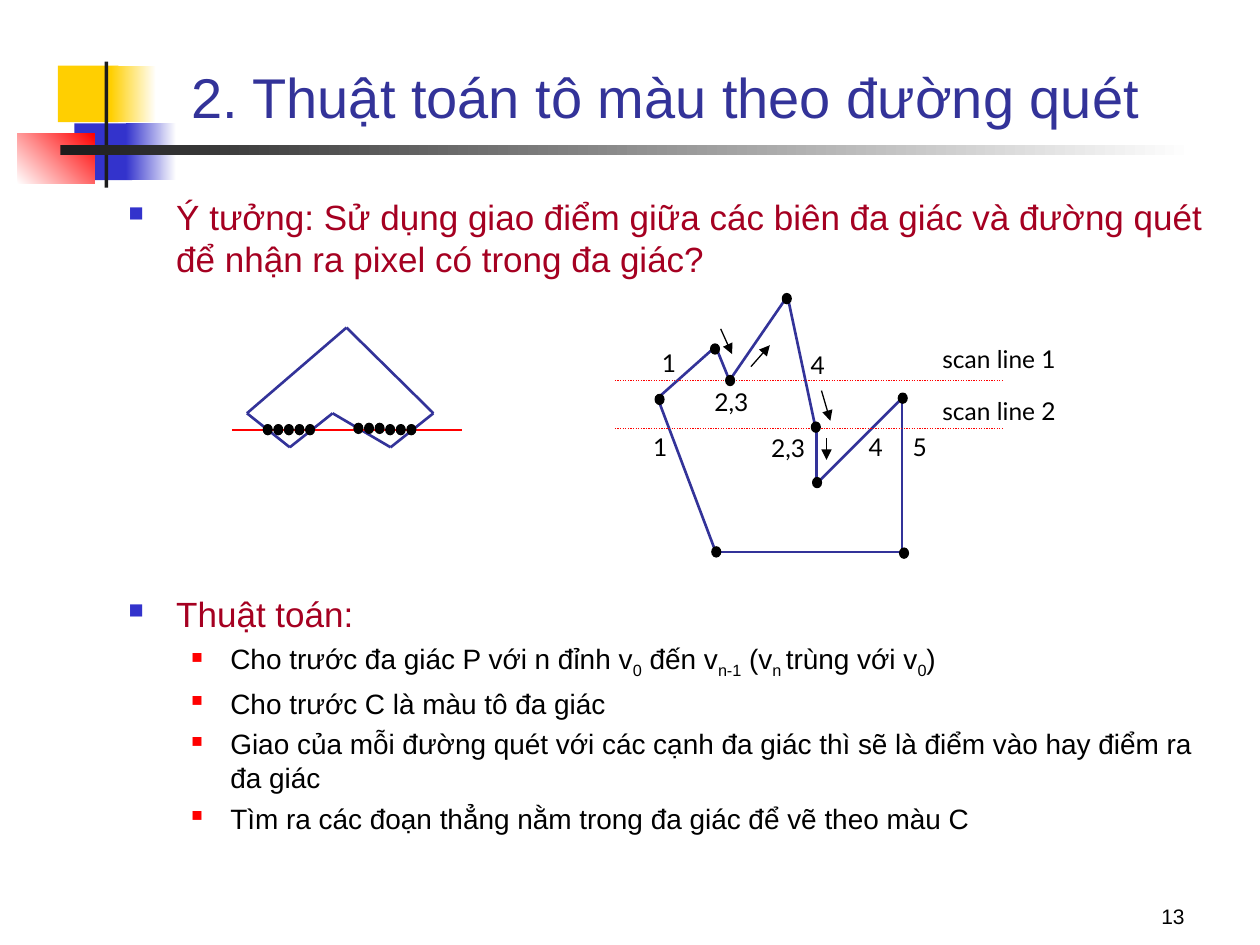
"""Build the slide on scan-line polygon filling."""
from dataclasses import dataclass

from lxml import etree
from pptx import Presentation
from pptx.dml.color import RGBColor
from pptx.enum.dml import MSO_LINE
from pptx.enum.shapes import MSO_CONNECTOR, MSO_SHAPE
from pptx.enum.text import MSO_ANCHOR, PP_ALIGN
from pptx.oxml.ns import qn
from pptx.util import Inches, Pt

RECT, OVAL = MSO_SHAPE.RECTANGLE, MSO_SHAPE.OVAL
STRAIGHT, DOTTED = MSO_CONNECTOR.STRAIGHT, MSO_LINE.ROUND_DOT
TOP, BOTTOM = MSO_ANCHOR.TOP, MSO_ANCHOR.BOTTOM
LEFT, CENTER, RIGHT = PP_ALIGN.LEFT, PP_ALIGN.CENTER, PP_ALIGN.RIGHT


@dataclass(frozen=True)
class Theme:
    sans: str = "Arial"
    label: str = "Lato"
    gold: str = "FFCF01"
    blue: str = "3333CC"
    navy: str = "333399"
    red: str = "FF0000"
    wine: str = "A50021"
    dark: str = "1C1C1C"
    black: str = "000000"
    white: str = "FFFFFF"
    title: int = 32
    head: int = 20
    item: int = 16
    tag: int = 14
    page: int = 12


theme = Theme()
deck = Presentation()
deck.slide_width, deck.slide_height = Inches(10), Inches(7.5)
COL, ROW = deck.slide_width / 1000, deck.slide_height / 750
slide = deck.slides.add_slide(deck.slide_layouts[6])
shapes = slide.shapes


def place(x, y, w, h):
    return int(x * COL), int(y * ROW), int(w * COL), int(h * ROW)


def write(spot, lines, size, color, font=theme.sans, align=LEFT, anchor=TOP, wrap=True):
    frame = shapes.add_textbox(*place(*spot)).text_frame
    frame.word_wrap = wrap
    frame.vertical_anchor = anchor
    frame.text = "\n".join(lines)
    for para in frame.paragraphs:
        para.alignment = align
        for run in para.runs:
            run.font.name, run.font.size = font, Pt(size)
            run.font.color.rgb = RGBColor.from_string(color)
    return frame


blocks = [
    ((46, 52, 48, 45), theme.gold, None, 0),
    ((88, 52, 36, 45), theme.gold, theme.white, 0),
    ((59, 98, 46, 45), theme.blue, None, 0),
    ((100, 98, 40, 45), theme.blue, theme.white, 0),
    ((14, 106, 61, 40), theme.white, theme.red, 45),
    ((83, 49, 3, 100), theme.dark, None, 0),
    ((48, 115, 900, 8), theme.dark, theme.white, 0),
]
for spot, start, end, angle in blocks:
    block = shapes.add_shape(RECT, *place(*spot))
    block.shadow.inherit = False
    block.line.fill.background()
    if end:
        block.fill.gradient()
        block.fill.gradient_angle = angle
        for stop, color in zip(block.fill.gradient_stops, (start, end)):
            stop.color.rgb = RGBColor.from_string(color)
    else:
        block.fill.solid()
        block.fill.fore_color.rgb = RGBColor.from_string(start)

write((142, 25, 836, 83), ["2. Thuật toán tô màu theo đường quét"],
      theme.title, theme.navy, anchor=BOTTOM)
idea = write((92, 150, 888, 80), [
    "Ý tưởng: Sử dụng giao điểm giữa các biên đa giác và đường quét "
    "để nhận ra pixel có trong đa giác?"], theme.head, theme.wine)
steps = write((92, 465, 888, 218), [
    "Thuật toán:",
    "Cho trước đa giác P với n đỉnh v",
    "Cho trước C là màu tô đa giác",
    "Giao của mỗi đường quét với các cạnh đa giác thì sẽ là điểm vào hay điểm ra đa giác",
    "Tìm ra các đoạn thẳng nằm trong đa giác để vẽ theo màu C",
], theme.head, theme.wine)

first = steps.paragraphs[1]
tail = ["0", " đến v", "n-1", " (v", "n ", "trùng với v", "0", ")"]
for i, part in enumerate(tail):
    run = first.add_run()
    run.text = part
    run.font.name = theme.sans
    if i % 2 == 0:
        run.font._element.set("baseline", "-25000")

for para in steps.paragraphs[1:]:
    para.space_before = Pt(4)
    for run in para.runs:
        run.font.size = Pt(theme.item)
        run.font.color.rgb = RGBColor.from_string(theme.black)

heads = [idea.paragraphs[0], steps.paragraphs[0]]
for para in heads + list(steps.paragraphs[1:]):
    head = para in heads
    margin, hang, color, size = (38, 38, theme.blue, 60) if head else (81, 31, theme.red, 55)
    props = para._p.get_or_add_pPr()
    props.set("marL", str(int(margin * COL)))
    props.set("indent", str(int(-hang * COL)))
    tint = etree.SubElement(props, qn("a:buClr"))
    etree.SubElement(tint, qn("a:srgbClr"), val=color)
    etree.SubElement(props, qn("a:buSzPct"), val=str(size * 1000))
    etree.SubElement(props, qn("a:buChar"), char="■")

roof = [(196, 328), (275, 260), (344, 328), (310, 355), (264, 328), (230, 355)]
crown = [(522, 316), (568, 275), (579, 302), (625, 235), (648, 343),
         (648, 384), (716, 316), (716, 438), (568, 438)]
lines = [(a, b, theme.navy, 1.5, False, False)
         for ring in (roof, crown) for a, b in zip(ring, ring[1:] + ring[:1])]
lines.append(((184, 341), (367, 341), theme.red, 1, False, False))
lines += [((488, y), (796, y), theme.red, 0.75, True, False) for y in (302, 340)]
arrows = [((572, 261), (581, 281)), ((596, 291), (611, 274)),
          ((652, 310), (659, 334)), ((656, 348), (656, 365))]
lines += [(a, b, theme.black, 0.75, False, True) for a, b in arrows]
for a, b, color, width, dots, arrow in lines:
    link = shapes.add_connector(STRAIGHT, *place(*a, *b))
    link.line.color.rgb = RGBColor.from_string(color)
    link.line.width = Pt(width)
    if dots:
        link.line.dash_style = DOTTED
    if arrow:
        etree.SubElement(link.line._get_or_add_ln(), qn("a:tailEnd"), type="triangle")
    etree.SubElement(link._element.spPr, qn("a:effectLst"))

STEP = 8.4
points = [(209 + STEP * i, 337) for i in range(5)]
points += [(281 + STEP * i, 336 if i < 3 else 337) for i in range(6)]
points += [(520, 313), (564, 273), (576, 298), (621, 233), (644, 335),
           (713, 312), (645, 379), (714, 435), (565, 434)]
for x, y in points:
    dot = shapes.add_shape(OVAL, *place(x, y, 7, 8))
    dot.shadow.inherit = False
    dot.fill.solid()
    dot.fill.fore_color.rgb = dot.line.color.rgb = RGBColor.from_string(theme.black)
    dot.line.width = Pt(0.75)

tags = [
    ("1", 514, 271, 34), ("2,3", 547, 302, 67), ("4", 632, 273, 34),
    ("1", 507, 338, 34), ("2,3", 594, 339, 63), ("4", 678, 338, 34),
    ("5", 713, 338, 34), ("scan line 1", 736, 268, 114), ("scan line 2", 736, 309, 114),
]
for text, x, y, w in tags:
    write((x, y, w, 40), [text], theme.tag, theme.black, theme.label, CENTER, wrap=False)

write((808, 692, 142, 50), ["13"], theme.page, theme.black, align=RIGHT, anchor=BOTTOM)

deck.save("out.pptx")
